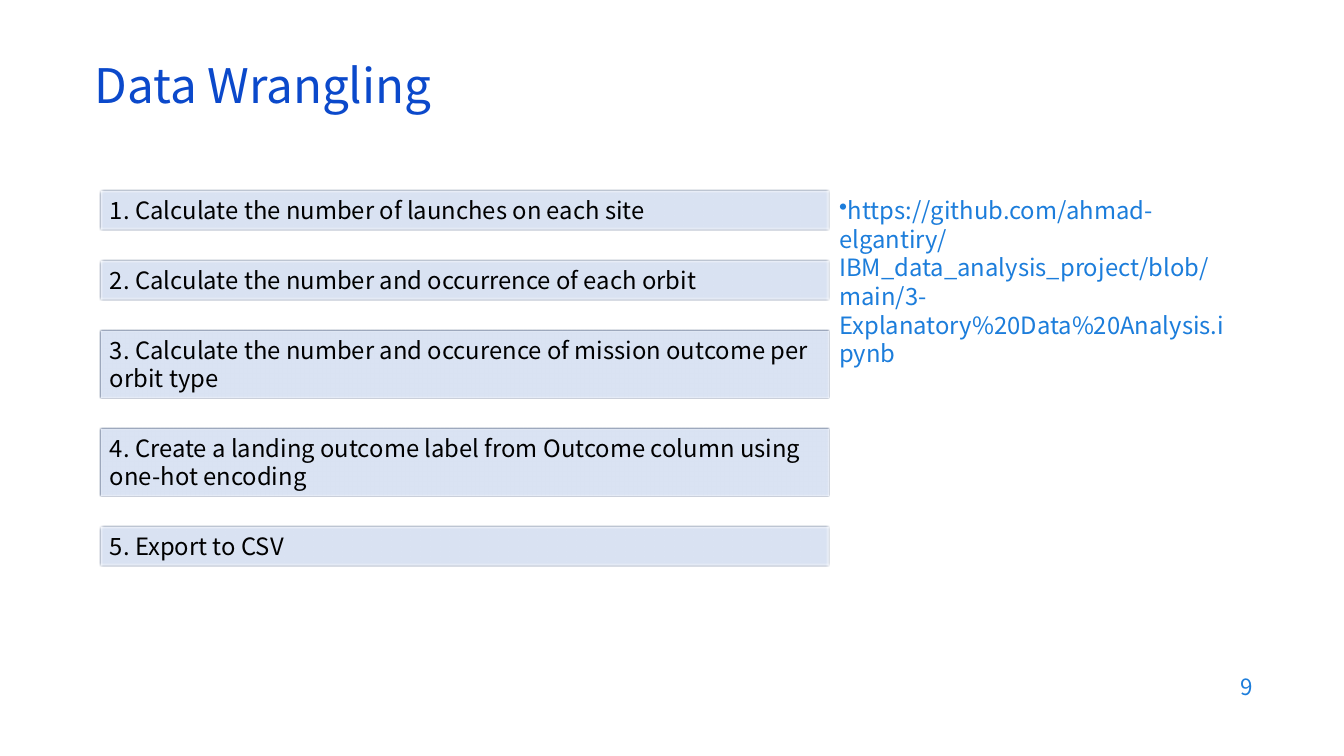
from dataclasses import dataclass

from lxml import etree
from pptx import Presentation
from pptx.dml.color import RGBColor
from pptx.enum.shapes import MSO_SHAPE
from pptx.enum.text import MSO_ANCHOR, PP_ALIGN
from pptx.oxml.ns import qn
from pptx.util import Cm, Pt

RECTANGLE = MSO_SHAPE.RECTANGLE
TOP, MIDDLE = MSO_ANCHOR.TOP, MSO_ANCHOR.MIDDLE
LEFT, RIGHT = PP_ALIGN.LEFT, PP_ALIGN.RIGHT
TITLE_ONLY = 5


@dataclass(frozen=True)
class Theme:
    """Colours, font and type sizes of the slide."""
    font: str = "Noto Sans CJK TC"
    title: RGBColor = RGBColor(0x0B, 0x49, 0xCB)
    accent: RGBColor = RGBColor(0x1C, 0x7D, 0xDB)
    text: RGBColor = RGBColor(0, 0, 0)
    step_fill: RGBColor = RGBColor(0xDA, 0xE3, 0xF3)
    step_line: RGBColor = RGBColor(0x20, 0x38, 0x64)
    title_size: Pt = Pt(34)
    body_size: Pt = Pt(17)
    number_size: Pt = Pt(16)
    body_spacing: Pt = Pt(20.5)


THEME = Theme()
STEPS = [
    ("1. Calculate the number of launches on each site", 1),
    ("2. Calculate the number and occurrence of each orbit", 1),
    ("3. Calculate the number and occurence of mission outcome per orbit type", 2),
    ("4. Create a landing outcome label from Outcome column using one-hot encoding", 2),
    ("5. Export to CSV", 1),
]
NOTEBOOK_LINK = (
    "https://github.com/ahmad-elgantiry/IBM_data_analysis_project/blob/main/"
    "3-Explanatory%20Data%20Analysis.ipynb"
)


def set_attributes(target, values):
    """Set each named attribute of the target."""
    for name, value in values.items():
        setattr(target, name, value)


def write_text(shape, text, size, color, anchor=TOP, alignment=LEFT, spacing=None, bullet=None):
    """Write one formatted paragraph into the shape."""
    frame = shape.text_frame
    set_attributes(frame, {"word_wrap": True, "vertical_anchor": anchor})
    paragraph = frame.paragraphs[0]
    paragraph.text = text
    set_attributes(paragraph, {"alignment": alignment, "line_spacing": spacing})
    if bullet:
        properties = paragraph._p.get_or_add_pPr()
        etree.SubElement(properties, qn("a:buChar"), char=bullet)
    font = paragraph.runs[0].font
    set_attributes(font, {"name": THEME.font, "size": size, "bold": False})
    font.color.rgb = color


def add_title(slide, left, top, width, height):
    """Place and format the title placeholder."""
    title = slide.shapes.title
    set_attributes(title, {"left": left, "top": top, "width": width, "height": height})
    write_text(title, "Data Wrangling", THEME.title_size, THEME.title, MIDDLE, spacing=0.8)


def add_steps(slide, left, top, width):
    """Stack the soft-edged step boxes downwards with equal gaps."""
    heights, gap = {1: Cm(0.99), 2: Cm(1.7)}, Cm(0.77)
    for text, line_count in STEPS:
        height = heights[line_count]
        step = slide.shapes.add_shape(RECTANGLE, left, top, width, height)
        step.fill.solid()
        step.fill.fore_color.rgb = THEME.step_fill
        step.line.color.rgb = THEME.step_line
        step.line.width = Pt(1)
        step.shadow.inherit = False
        effects = step._element.spPr.find(qn("a:effectLst"))
        etree.SubElement(effects, qn("a:softEdge"), rad=str(Pt(1)))
        write_text(step, text, THEME.body_size, THEME.text, spacing=THEME.body_spacing)
        top += height + gap


def add_link(slide, left, top, width, height):
    """Add the bulleted notebook address."""
    box = slide.shapes.add_textbox(left, top, width, height)
    write_text(box, NOTEBOOK_LINK, THEME.body_size, THEME.accent,
               spacing=THEME.body_spacing, bullet="•")


def add_slide_number(slide, left, top, width, height):
    """Add the page number at the right of its box."""
    box = slide.shapes.add_textbox(left, top, width, height)
    write_text(box, "9", THEME.number_size, THEME.accent, MIDDLE, RIGHT)


def main():
    """Build and save the slide."""
    presentation = Presentation()
    set_attributes(presentation, {"slide_width": Cm(33.87), "slide_height": Cm(19.05)})
    slide = presentation.slides.add_slide(presentation.slide_layouts[TITLE_ONLY])
    content_top = Cm(4.8)
    add_title(slide, Cm(2.13), Cm(1.5), Cm(29.21), Cm(1.52))
    add_steps(slide, Cm(2.52), content_top, Cm(18.38))
    add_link(slide, Cm(20.9), content_top, Cm(10.44), Cm(12.37))
    add_slide_number(slide, Cm(24.21), Cm(16.74), Cm(7.62), Cm(1.12))
    presentation.save("out.pptx")


if __name__ == "__main__":
    main()
